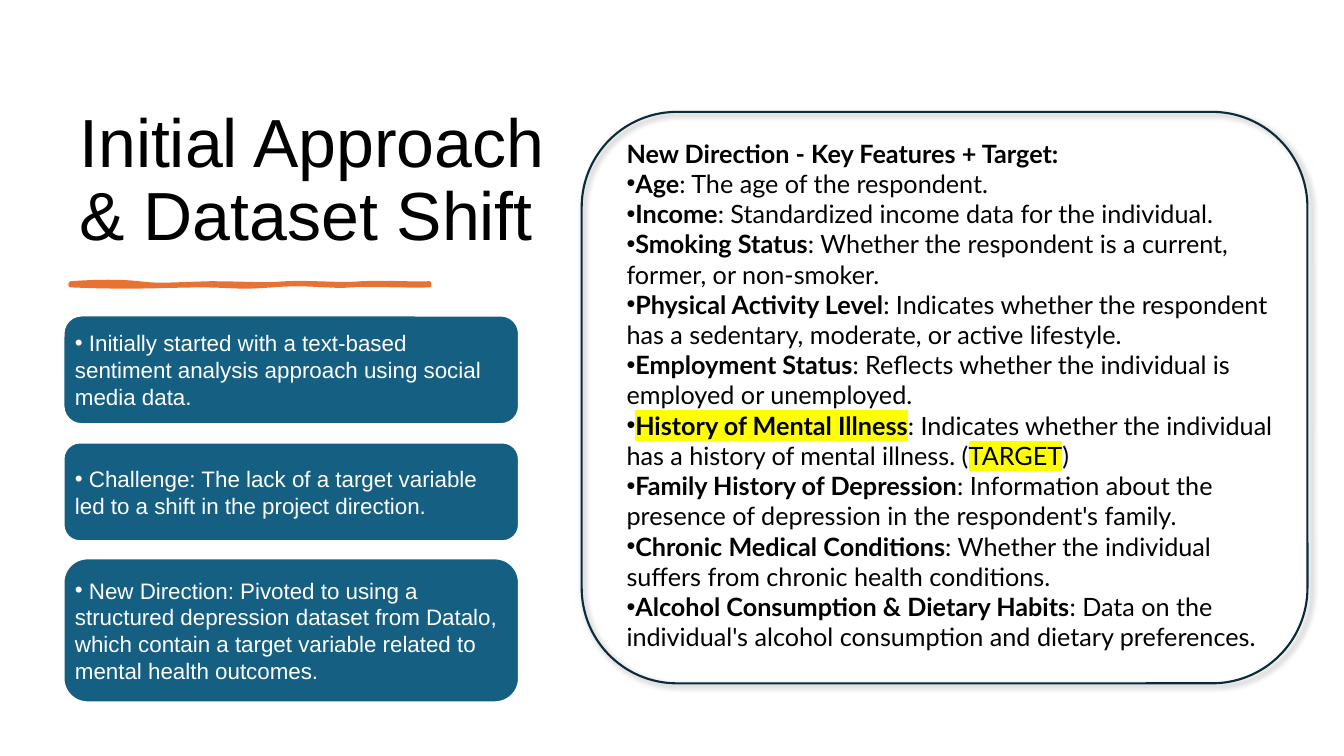
from dataclasses import dataclass

from lxml.etree import SubElement
from pptx import Presentation
from pptx.dml.color import RGBColor
from pptx.enum.shapes import MSO_SHAPE
from pptx.enum.text import MSO_ANCHOR, MSO_AUTO_SIZE
from pptx.oxml.ns import qn
from pptx.util import Cm, Pt


@dataclass(frozen=True)
class Theme:
    """Colours, fonts and type sizes of the slide."""
    ink: str = "000000"
    paper: str = "FFFFFF"
    accent: str = "E97132"
    card: str = "156082"
    frame: str = "092A39"
    marker: str = "FFFF00"
    heading_font: str = "Arial"
    feature_font: str = "Lato"
    title_size: float = 48.6
    feature_size: float = 18
    card_size: float = 16


@dataclass(frozen=True)
class Box:
    """A rectangle in centimetres."""
    left: float
    top: float
    width: float
    height: float

    def lengths(self):
        """Return the rectangle as slide lengths."""
        return Cm(self.left), Cm(self.top), Cm(self.width), Cm(self.height)


@dataclass(frozen=True)
class Span:
    """A stretch of text with one look."""
    text: str
    bold: bool = False
    marked: bool = False


@dataclass(frozen=True)
class Feature:
    """A dataset column and what it tells."""
    name: str
    meaning: tuple[Span, ...]
    target: bool = False


@dataclass(frozen=True)
class Card:
    """One step of the approach."""
    top: float
    height: float
    text: str


THEME = Theme()
TITLE_BOX = Box(1.75, 1.78, 12.83, 4.78)
FEATURES_BOX = Box(15.54, 3.35, 16.94, 13.34)
FRAME_BOX = Box(14.66, 2.82, 18.29, 14.4)
CARD_LEFT, CARD_WIDTH = 1.6, 11.48

CARDS = (
    Card(7.95, 2.74, " Initially started with a text-based sentiment analysis approach using social media data."),
    Card(11.15, 2.49, " Challenge: The lack of a target variable led to a shift in the project direction."),
    Card(14.07, 3.63, " New Direction: Pivoted to using a structured depression dataset from Datalo, "
                      "which contain a target variable related to mental health outcomes."),
)

FEATURES = (
    Feature("Age", (Span(": The age of the respondent."),)),
    Feature("Income", (Span(": Standardized income data for the individual."),)),
    Feature("Smoking Status", (Span(": Whether the respondent is a current, former, or non-smoker."),)),
    Feature("Physical Activity Level",
            (Span(": Indicates whether the respondent has a sedentary, moderate, or active lifestyle."),)),
    Feature("Employment Status", (Span(": Reflects whether the individual is employed or unemployed."),)),
    Feature("History of Mental Illness",
            (Span(": Indicates whether the individual has a history of mental illness. ("),
             Span("TARGET", marked=True), Span(")")), target=True),
    Feature("Family History of Depression",
            (Span(": Information about the presence of depression in the respondent's family."),)),
    Feature("Chronic Medical Conditions", (Span(": Whether the individual suffers from chronic health conditions."),)),
    Feature("Alcohol Consumption & Dietary Habits",
            (Span(": Data on the individual's alcohol consumption and dietary preferences."),)),
)

STROKE_START = (1.78, 7.14)
STROKE_TOP = (
    ((2.46, 7.09), (3.07, 7.09), (3.51, 7.14)),
    ((3.94, 7.21), (4.5, 7.16), (5.31, 7.14)),
    ((6.12, 7.14), (6.6, 7.19), (7.21, 7.14)),
    ((7.82, 7.11), (8.61, 7.19), (9.12, 7.14)),
    ((9.63, 7.11), (10.46, 7.16), (10.82, 7.14)),
)
STROKE_TURN = (10.82, 7.19)
STROKE_BOTTOM = (
    ((10.36, 7.21), (9.25, 7.16), (8.84, 7.19)),
    ((8.43, 7.24), (7.72, 7.11), (6.86, 7.19)),
    ((5.97, 7.26), (5.87, 7.19), (5.05, 7.19)),
    ((4.22, 7.19), (3.35, 7.26), (1.78, 7.19)),
)


def trace(start: tuple, curves: tuple, steps: int = 8) -> list:
    """Return points along a chain of cubic curves."""
    points = [start]
    for first, second, end in curves:
        origin = points[-1]
        for step in range(1, steps + 1):
            t = step / steps
            weights = ((1 - t) ** 3, 3 * t * (1 - t) ** 2, 3 * t * t * (1 - t), t ** 3)
            points.append(tuple(sum(w * p[axis] for w, p in zip(weights, (origin, first, second, end)))
                                for axis in (0, 1)))
    return points


def paint(shape, fill: str | None, line: str, width: float) -> None:
    """Set fill and outline and drop the shadow."""
    shape.shadow.inherit = False
    if fill:
        shape.fill.solid()
        shape.fill.fore_color.rgb = RGBColor.from_string(fill)
    else:
        shape.fill.background()
    shape.line.color.rgb = RGBColor.from_string(line)
    shape.line.width = Pt(width)


def add_span(paragraph, span: Span, font_name: str, size: float, color: str) -> None:
    """Add one run of text to a paragraph."""
    run = paragraph.add_run()
    run.text = span.text
    run.font.size, run.font.bold, run.font.name = Pt(size), span.bold, font_name
    run.font.color.rgb = RGBColor.from_string(color)
    if span.marked:
        properties = run.font._element
        highlight = SubElement(properties, qn("a:highlight"))
        SubElement(highlight, qn("a:srgbClr"), val=THEME.marker)
        properties.find(qn("a:latin")).addprevious(highlight)


def add_bullet(paragraph) -> None:
    """Put a round bullet directly before the paragraph."""
    properties = paragraph._p.get_or_add_pPr()
    properties.set("marL", "0")
    properties.set("indent", "0")
    SubElement(properties, qn("a:buFont"), typeface="Arial")
    SubElement(properties, qn("a:buChar"), char="•")


def add_text_frame(shapes, box: Box, anchor: MSO_ANCHOR):
    """Add a wrapping text box and return its frame."""
    frame = shapes.add_textbox(*box.lengths()).text_frame
    frame.word_wrap = True
    frame.vertical_anchor = anchor
    return frame


def add_title(shapes) -> None:
    """Add the slide heading."""
    heading = add_text_frame(shapes, TITLE_BOX, MSO_ANCHOR.BOTTOM).paragraphs[0]
    heading.line_spacing = 0.9
    add_span(heading, Span("Initial Approach & Dataset Shift"), THEME.heading_font, THEME.title_size, THEME.ink)


def add_brush_stroke(shapes) -> None:
    """Add the hand-drawn rule below the heading."""
    outline = trace(STROKE_START, STROKE_TOP) + trace(STROKE_TURN, STROKE_BOTTOM)
    start, *rest = [(Cm(x), Cm(y)) for x, y in outline]
    builder = shapes.build_freeform(*start)
    builder.add_line_segments(rest, close=True)
    paint(builder.convert_to_shape(), THEME.accent, THEME.accent, 3)


def add_features(shapes) -> None:
    """Add the list of dataset features."""
    frame = add_text_frame(shapes, FEATURES_BOX, MSO_ANCHOR.TOP)
    frame.auto_size = MSO_AUTO_SIZE.SHAPE_TO_FIT_TEXT
    style = (THEME.feature_font, THEME.feature_size, THEME.ink)
    add_span(frame.paragraphs[0], Span("New Direction - Key Features + Target:", bold=True), *style)
    for feature in FEATURES:
        entry = frame.add_paragraph()
        add_bullet(entry)
        for span in (Span(feature.name, True, feature.target), *feature.meaning):
            add_span(entry, span, *style)


def add_features_frame(shapes) -> None:
    """Add the rounded, softly shadowed outline around the features."""
    outline = shapes.add_shape(MSO_SHAPE.ROUNDED_RECTANGLE, *FRAME_BOX.lengths())
    paint(outline, None, THEME.frame, 1.5)
    effects = outline._element.spPr.find(qn("a:effectLst"))
    shade = SubElement(effects, qn("a:outerShdw"), blurRad=str(Pt(4)), dist=str(Pt(3)),
                       dir="2700000", algn="tl", rotWithShape="0")
    tint = SubElement(shade, qn("a:srgbClr"), val=THEME.ink)
    SubElement(tint, qn("a:alpha"), val="40000")


def add_card(shapes, card: Card) -> None:
    """Add one step as a grouped card and text."""
    group = shapes.add_group_shape().shapes
    box = Box(CARD_LEFT, card.top, CARD_WIDTH, card.height)
    paint(group.add_shape(MSO_SHAPE.ROUNDED_RECTANGLE, *box.lengths()), THEME.card, THEME.paper, 1.5)
    side, rim = 0.12, 0.05 * card.height
    inner = Box(box.left + side, box.top + rim, box.width - 2 * side, box.height - 2 * rim)
    frame = add_text_frame(group, inner, MSO_ANCHOR.MIDDLE)
    frame.margin_left = frame.margin_right = frame.margin_top = frame.margin_bottom = Cm(0.17)
    step = frame.paragraphs[0]
    step.space_after = Pt(6)
    add_bullet(step)
    add_span(step, Span(card.text), THEME.heading_font, THEME.card_size, THEME.paper)


def main() -> None:
    """Build and save the slide."""
    deck = Presentation()
    deck.slide_width, deck.slide_height = Cm(33.87), Cm(19.05)
    shapes = deck.slides.add_slide(deck.slide_layouts[6]).shapes
    add_title(shapes)
    add_brush_stroke(shapes)
    add_features(shapes)
    add_features_frame(shapes)
    for card in CARDS:
        add_card(shapes, card)
    deck.save("out.pptx")


if __name__ == "__main__":
    main()
